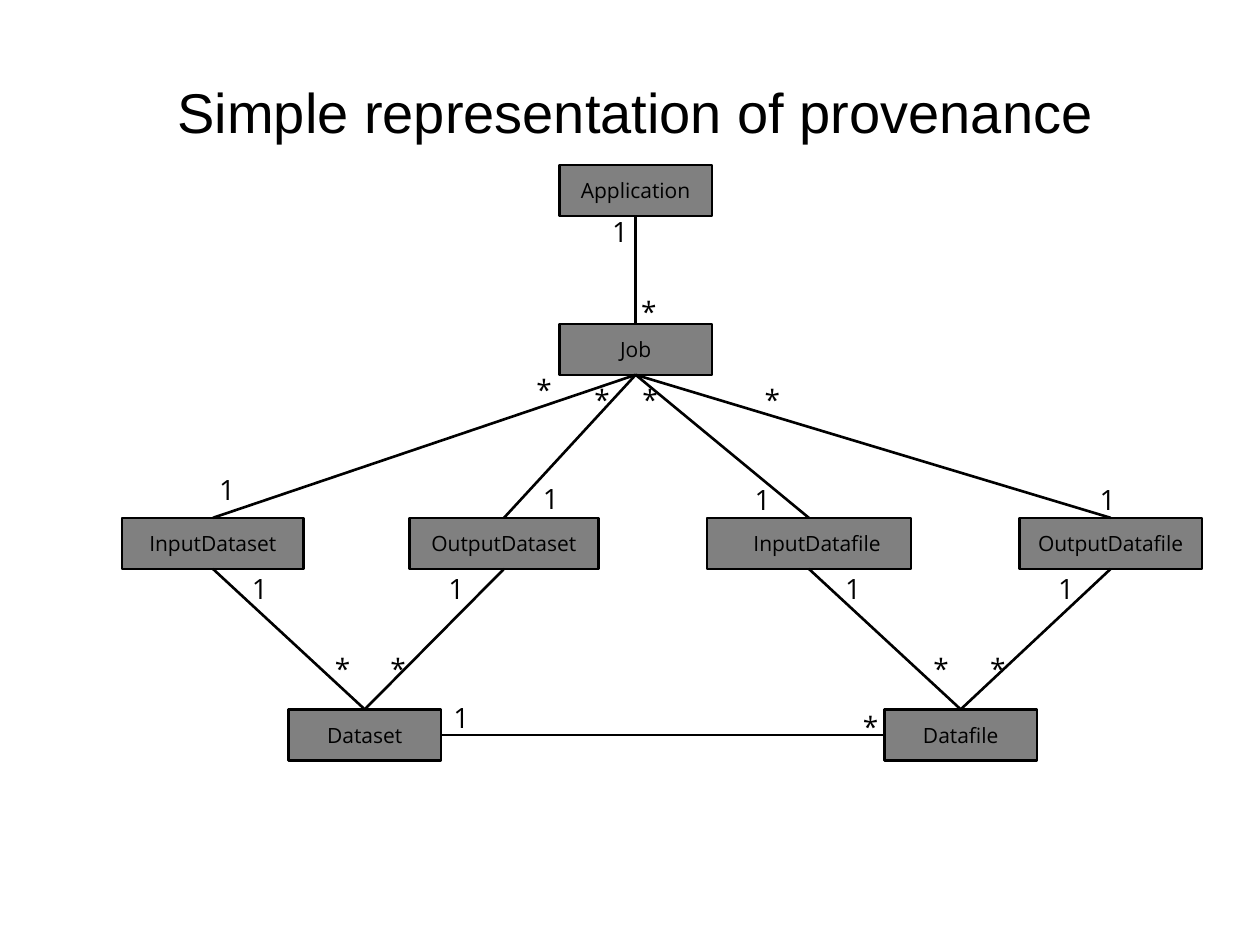
from collections import namedtuple
from lxml import etree
from pptx import Presentation
from pptx.dml.color import RGBColor
from pptx.enum.shapes import MSO_CONNECTOR, MSO_SHAPE
from pptx.enum.text import MSO_ANCHOR, PP_ALIGN
from pptx.oxml.ns import qn
from pptx.util import Inches, Pt

Theme = namedtuple("Theme", "ink fill title_font body_font title_size label_size mark_size line")
theme = Theme(RGBColor(0, 0, 0), RGBColor(128, 128, 128), "Arial", "Open Sans",
              Pt(32), Pt(12), Pt(16), Pt(1.5))

deck = Presentation()
deck.slide_width, deck.slide_height = Inches(10), Inches(7.5)
page = deck.slides.add_slide(deck.slide_layouts[6])
column, row = deck.slide_width / 100, deck.slide_height / 75


def area(left, top, width, height):
    return [round(left * column), round(top * row), round(width * column), round(height * row)]


def write(shape, text, font, size, align, anchor, indent=0, spacing=None):
    frame = shape.text_frame
    frame.word_wrap = True
    frame.vertical_anchor = anchor
    frame.margin_left = round((1 + indent) * column)
    frame.margin_right = round(column)
    frame.margin_top = frame.margin_bottom = round(row)
    para = frame.paragraphs[0]
    para.alignment = align
    if spacing:
        para.line_spacing = spacing
    span = para.add_run()
    span.text = text
    span.font.name = font
    span.font.size = size
    span.font.color.rgb = theme.ink


title = page.shapes.add_textbox(*area(3.5, 5.1, 93.9, 7.4))
write(title, "Simple representation of provenance", theme.title_font, theme.title_size,
      PP_ALIGN.CENTER, MSO_ANCHOR.BOTTOM)

box_height = 4.05
tiers = [
    (13.1, [("Application", 44.4, 12.1)]),
    (25.7, [("Job", 44.4, 12.1)]),
    (41.1, [("InputDataset", 9.7, 14.4), ("OutputDataset", 32.5, 15),
            ("InputDatafile", 56.1, 16.2), ("OutputDatafile", 80.9, 14.5)]),
    (56.3, [("Dataset", 22.9, 12.1), ("Datafile", 70.2, 12.1)]),
]
label_indents = {"InputDatafile": 1.3}
boxes = {}
for top, entities in tiers:
    for name, left, width in entities:
        box = page.shapes.add_shape(MSO_SHAPE.RECTANGLE, *area(left, top, width, box_height))
        box.shadow.inherit = False
        box.fill.solid()
        box.fill.fore_color.rgb = theme.fill
        box.line.color.rgb = theme.ink
        box.line.width = theme.line
        write(box, name, theme.body_font, theme.label_size, PP_ALIGN.CENTER,
              MSO_ANCHOR.MIDDLE, label_indents.get(name, 0))
        boxes[name] = box

TOP, LEFT, BOTTOM, RIGHT = range(4)
links = [("Application", BOTTOM, "Job", TOP), ("Dataset", RIGHT, "Datafile", LEFT)]
for kind in ("Dataset", "Datafile"):
    for direction in ("Input", "Output"):
        links.append(("Job", BOTTOM, direction + kind, TOP))
        links.append((direction + kind, BOTTOM, kind, TOP))
for source, source_side, target, target_side in links:
    link = page.shapes.add_connector(MSO_CONNECTOR.STRAIGHT, 0, 0, 0, 0)
    link.begin_connect(boxes[source], source_side)
    link.end_connect(boxes[target], target_side)
    link.line.color.rgb = theme.ink
    link.line.width = theme.line
    etree.SubElement(link._element.spPr, qn("a:effectLst"))

mark_rows = [
    ("1", 16, [47.6], None),
    ("*", 22.4, [49.9], None),
    ("*", 28.6, [41.6], None),
    ("*", 29.4, [46.2, 50, 59.7], None),
    ("1", 36.5, [16.4], None),
    ("1", 36.8, [42.1], 1.15),
    ("1", 37.3, [58.9, 86.3], None),
    ("1", 44.4, [19, 34.6, 66.1, 83], None),
    ("*", 50.7, [25.6, 30, 73.1, 77.6], None),
    ("1", 54.6, [35], None),
    ("*", 54.9, [67.5], 1.15),
]
for mark, top, lefts, spacing in mark_rows:
    for left in lefts:
        label = page.shapes.add_textbox(*area(left, top, 3.7, 4.7))
        write(label, mark, theme.body_font, theme.mark_size, PP_ALIGN.LEFT,
              MSO_ANCHOR.TOP, spacing=spacing)

deck.save("out.pptx")
